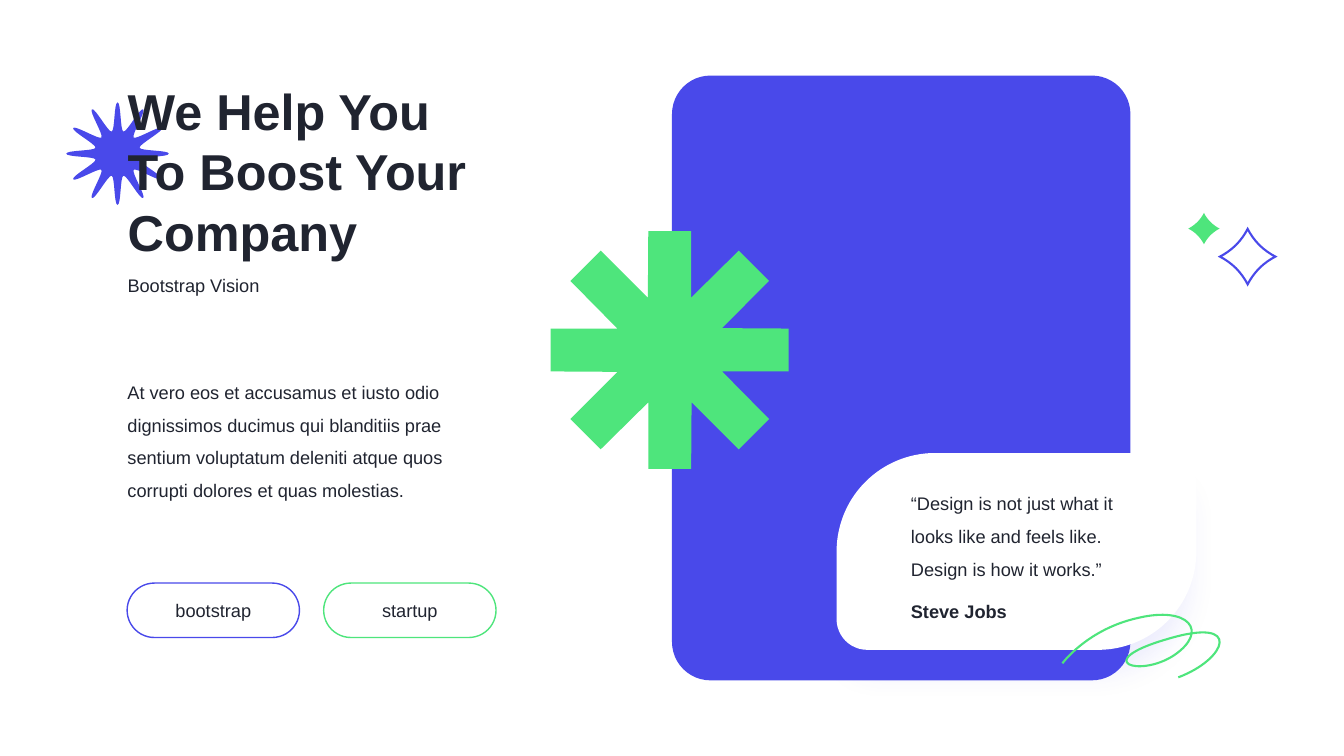
from dataclasses import dataclass
from math import cos, pi, sin

from lxml import etree
from pptx import Presentation
from pptx.dml.color import RGBColor
from pptx.enum.shapes import MSO_SHAPE
from pptx.enum.text import MSO_ANCHOR, PP_ALIGN
from pptx.oxml.ns import qn
from pptx.util import Pt

ROUND, ROUND_DIAG = MSO_SHAPE.ROUNDED_RECTANGLE, MSO_SHAPE.ROUND_2_DIAG_RECTANGLE
TOP, MIDDLE = MSO_ANCHOR.TOP, MSO_ANCHOR.MIDDLE
LEFT, CENTER = PP_ALIGN.LEFT, PP_ALIGN.CENTER


@dataclass(frozen=True)
class Theme:
    font: str = "Arial"
    title: float = 36
    body: float = 13
    ink: str = "202430"
    blue: str = "4949EA"
    green: str = "4EE57C"
    white: str = "FFFFFF"


THEME = Theme()

# Half spokes as (along, across) shares of the radius, from tip to valley
BURST = [(1, 0), (1, 0.07), (0.45, 0.05), (0.43, 0.115)]
SPARKLE = [(1, 0), (0.82, 0.09), (0.6, 0.24), (0.42, 0.42)]
ASTERISK = [(1, 0.18), (0.44, 0.18)]
# Chain of cubic curves, and the box that the drawn line fills
SQUIGGLE = [(841.7, 483.8), (876.2, 470.9), (888.5, 439.9), (833.8, 456.5),
            (779, 472.3), (813.6, 484.6), (838.8, 468), (864, 450.7),
            (848.9, 432.7), (812.9, 441.4), (776.9, 449.3), (758.9, 473.8),
            (758.9, 473.8)]
SQUIGGLE_BOX = (758.9, 439.2, 112.3, 44.6)


def paint(shape, fill=None, line=None, width=1):
    shape.shadow.inherit = False
    if fill:
        shape.fill.solid()
        shape.fill.fore_color.rgb = RGBColor.from_string(fill)
    else:
        shape.fill.background()
    if line:
        shape.line.color.rgb = RGBColor.from_string(line)
        shape.line.width = Pt(width)
    else:
        shape.line.fill.background()


def write(shape, text, size=THEME.body, bold=False, spacing=1.0, align=LEFT,
          anchor=TOP, wrap=True):
    tf = shape.text_frame
    tf.word_wrap, tf.vertical_anchor = wrap, anchor
    p = tf.paragraphs[0]
    p.alignment, p.line_spacing = align, spacing
    r = p.add_run()
    r.text = text
    style = {"name": THEME.font, "size": Pt(size), "bold": bold}
    for key, value in style.items():
        setattr(r.font, key, value)
    r.font.color.rgb = RGBColor.from_string(THEME.ink)


def place(shape, box):
    shape.left, shape.top, shape.width, shape.height = map(Pt, box)


def add_text(s, box, text, **style):
    write(s.shapes.add_textbox(*map(Pt, box)), text, **style)


def add_box(s, preset, box, radii, **colours):
    shape = s.shapes.add_shape(preset, *map(Pt, box))
    for i, radius in enumerate(radii):
        shape.adjustments[i] = radius
    paint(shape, **colours)
    return shape


def add_pill(s, left, label, colour):
    pill = add_box(s, ROUND, (left, 416.5, 123.1, 38.9), [0.5],
                   fill=THEME.white, line=colour)
    write(pill, label, align=CENTER, anchor=MIDDLE)


def add_soft_shadow(shape, colour):
    effects = shape._element.spPr.find(qn("a:effectLst"))
    shadow = etree.SubElement(effects, qn("a:outerShdw"), blurRad=str(Pt(20)),
                              dist=str(Pt(20)), dir="5400000", sx="95000",
                              sy="95000", algn="ctr", rotWithShape="0")
    clr = etree.SubElement(shadow, qn("a:srgbClr"), val=colour)
    etree.SubElement(clr, qn("a:alpha"), val="10000")


def bend(shape):
    """Turn each three straight segments into one cubic curve."""
    segments = list(shape._element.iter(qn("a:lnTo")))
    for i in range(0, len(segments), 3):
        first = segments[i]
        first.tag = qn("a:cubicBezTo")
        cubic = etree.Element(qn("a:cubicBezTo"))
        first.addprevious(cubic)
        for segment in segments[i:i + 3]:
            cubic.append(segment[0])
            segment.getparent().remove(segment)


def fit(shape, box):
    """Give the outline a box that leaves its control points outside."""
    dx, dy = shape.left - Pt(box[0]), shape.top - Pt(box[1])
    place(shape, box)
    outline = next(shape._element.iter(qn("a:path")))
    outline.set("w", str(Pt(box[2])))
    outline.set("h", str(Pt(box[3])))
    for pt in outline.iter(qn("a:pt")):
        pt.set("x", str(int(pt.get("x")) + dx))
        pt.set("y", str(int(pt.get("y")) + dy))


def add_outline(s, points, close=True, curved=True, **colours):
    points = [(Pt(x), Pt(y)) for x, y in points]
    builder = s.shapes.build_freeform(*points[0])
    builder.add_line_segments(points[1:], close=close)
    shape = builder.convert_to_shape()
    paint(shape, **colours)
    if curved:
        bend(shape)
    # Sharp corners on the line
    etree.SubElement(shape._element.spPr.find(qn("a:ln")), qn("a:miter"),
                     lim="800000")
    return shape


def add_star(s, cx, cy, radius, spokes, half, **style):
    """Mirror the half spoke, then repeat it around the centre."""
    mirrored = [(u, -v) for u, v in reversed(half)]
    spoke = list(dict.fromkeys(mirrored + half))[1:]
    points = []
    for k in range(spokes):
        a = 2 * pi * k / spokes
        points += [(cx + radius * (u * cos(a) - v * sin(a)),
                    cy + radius * (u * sin(a) + v * cos(a)))
                   for u, v in spoke]
    add_outline(s, points[-1:] + points, **style)


def add_title(s, box, text):
    title = s.shapes.title
    place(title, box)
    write(title, text, size=THEME.title, bold=True)
    # Keep the title above the burst behind it
    s.shapes._spTree.append(title._element)


def main():
    prs = Presentation()
    prs.slide_width, prs.slide_height = Pt(960), Pt(540)
    s = prs.slides.add_slide(prs.slide_layouts[5])

    # Left column: headline, message and tags
    add_star(s, 84, 109.8, 36.6, 12, BURST, fill=THEME.blue)
    add_title(s, (84, 53.6, 276.5, 138.2), "We Help You To Boost Your Company")
    add_text(s, (84, 192.2, 121.7, 23), "Bootstrap Vision", wrap=False)
    add_text(s, (84, 260.9, 276.5, 99.4),
             "At vero eos et accusamus et iusto odio dignissimos ducimus qui "
             "blanditiis prae sentium voluptatum deleniti atque quos corrupti "
             "dolores et quas molestias.", spacing=1.5)
    add_pill(s, 90.8, "bootstrap", THEME.blue)
    add_pill(s, 231.2, "startup", THEME.green)

    # Right panel with the quote card
    add_box(s, ROUND, (480, 54, 327.5, 432), [0.084], fill=THEME.blue)
    card = add_box(s, ROUND_DIAG, (597.6, 323.6, 257, 140.6), [0.5, 0.156],
                   fill=THEME.white)
    add_soft_shadow(card, THEME.blue)
    add_text(s, (643.6, 340.4, 190, 75.6),
             "“Design is not just what it looks like and feels like. "
             "Design is how it works.”", spacing=1.5)
    add_text(s, (643.6, 425.2, 89.3, 23), "Steve Jobs", bold=True, wrap=False)

    # Ornaments
    add_star(s, 478.4, 250, 85, 8, ASTERISK, curved=False, fill=THEME.green)
    add_star(s, 860, 163.3, 11.2, 4, SPARKLE, fill=THEME.green)
    add_star(s, 891.2, 183.3, 19.8, 4, SPARKLE, line=THEME.blue, width=1.5)
    squiggle = add_outline(s, SQUIGGLE, close=False, line=THEME.green, width=1.5)
    fit(squiggle, SQUIGGLE_BOX)

    prs.save("out.pptx")


if __name__ == "__main__":
    main()
